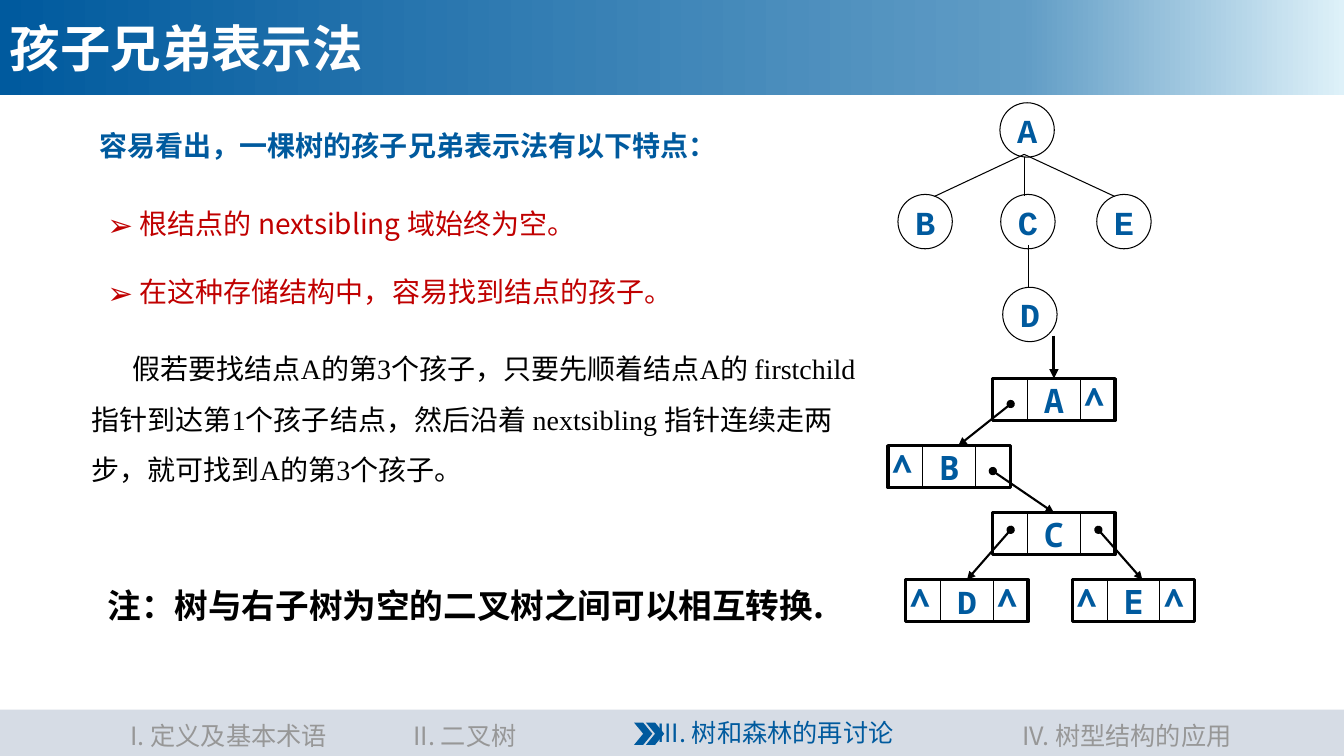
from copy import deepcopy
from dataclasses import dataclass

from pptx import Presentation
from pptx.dml.color import RGBColor
from pptx.enum.shapes import MSO_CONNECTOR, MSO_SHAPE
from pptx.enum.text import MSO_ANCHOR, PP_ALIGN
from pptx.oxml.ns import qn
from pptx.util import Cm, Pt
from lxml.etree import SubElement


@dataclass(frozen=True)
class Theme:
    blue: str = "005A9E"
    mid_blue: str = "609CC5"
    pale_blue: str = "DEF1F9"
    red: str = "C00000"
    black: str = "000000"
    white: str = "FFFFFF"
    bar: str = "D6DCE5"
    muted: str = "979797"
    sans: str = "Noto Sans CJK SC"
    serif: str = "Times New Roman"
    mono: str = "Noto Sans Mono"
    courier: str = "Courier New"
    title: int = 36
    label: int = 24
    body: int = 20
    nav: int = 18
    thin: float = 0.75
    medium: float = 1.5
    thick: float = 2.25


T = Theme()


def write(s, text, size, color, font=T.sans, bold=False, align=PP_ALIGN.LEFT,
          anchor=MSO_ANCHOR.TOP, wrap=True, insets=(0.25, 0.13)):
    """Fill a shape with one formatted paragraph and return it."""
    tf = s.text_frame
    tf.text = text
    tf.word_wrap = wrap
    tf.vertical_anchor = anchor
    tf.margin_left = tf.margin_right = Cm(insets[0])
    tf.margin_top = tf.margin_bottom = Cm(insets[1])
    p = tf.paragraphs[0]
    p.alignment = align
    f = p.runs[0].font
    f.name, f.size, f.bold = font, Pt(size), bold
    f.color.rgb = RGBColor.from_string(color)
    SubElement(p.runs[0]._r.get_or_add_rPr(), qn("a:ea")).set("typeface", T.sans)
    return p


def add_text(slide, x, y, w, h, *args, **kwargs):
    s = slide.shapes.add_textbox(Cm(x), Cm(y), Cm(w), Cm(h))
    return write(s, *args, **kwargs)


def add_box(slide, kind, x, y, w, h, fill=None, line=None):
    s = slide.shapes.add_shape(kind, Cm(x), Cm(y), Cm(w), Cm(h))
    s.shadow.inherit = False
    if fill:
        s.fill.solid()
        s.fill.fore_color.rgb = RGBColor.from_string(fill)
    else:
        s.fill.background()
    if line:
        s.line.color.rgb = RGBColor.from_string(T.black)
        s.line.width = Pt(line)
    else:
        s.line.fill.background()
    return s


def add_line(slide, x1, y1, x2, y2, width=T.thin, head=None, tail=None):
    c = slide.shapes.add_connector(MSO_CONNECTOR.STRAIGHT, Cm(x1), Cm(y1), Cm(x2), Cm(y2))
    c.line.color.rgb = RGBColor.from_string(T.black)
    c.line.width = Pt(width)
    ln = c.line._get_or_add_ln()
    for tag, end in (("a:headEnd", head), ("a:tailEnd", tail)):
        if end:
            SubElement(ln, qn(tag)).set("type", end)
    SubElement(c._element.spPr, qn("a:effectLst"))
    return c


def indent(p, first, left=0):
    pPr = p._p.get_or_add_pPr()
    pPr.set("marL", str(Cm(left)))
    pPr.set("indent", str(Cm(first)))
    return pPr


def title_bar(slide, box):
    s = add_box(slide, MSO_SHAPE.RECTANGLE, *box)
    s.fill.gradient()
    s.fill.gradient_angle = 0
    stops = s._element.spPr.find(".//" + qn("a:gsLst"))
    stops.append(deepcopy(stops[0]))
    colors = ((0, T.blue), (0.76, T.mid_blue), (1, T.pale_blue))
    for stop, (position, color) in zip(s.fill.gradient_stops, colors):
        stop.position = position
        stop.color.rgb = RGBColor.from_string(color)
    write(s, "孩子兄弟表示法", T.title, T.white, bold=True, anchor=MSO_ANCHOR.MIDDLE)


def explanation(slide, box):
    x, y, w, h = box
    # Heading
    p = add_text(slide, x, y, w, 1.2, "容易看出，一棵树的孩子兄弟表示法有以下特点：",
                 T.body, T.blue, bold=True)
    indent(p, 0.1, 0.1)
    # Features
    features = ("根结点的 nextsibling 域始终为空。", "在这种存储结构中，容易找到结点的孩子。")
    for i, feature in enumerate(features):
        p = add_text(slide, x + 0.4, y + 1.96 + 1.7 * i, w, 1.2, feature, T.body, T.red)
        pPr = indent(p, -0.81, 0.81)
        SubElement(pPr, qn("a:buSzPct")).set("val", "110000")
        SubElement(pPr, qn("a:buFont")).set("typeface", T.sans)
        SubElement(pPr, qn("a:buChar")).set("char", "➢")
    # Example
    p = add_text(slide, x, y + 5.19, w, 4.22,
                 "假若要找结点A的第3个孩子，只要先顺着结点A的 firstchild 指针到达第1个孩子结点，"
                 "然后沿着 nextsibling 指针连续走两步，就可找到A的第3个孩子。",
                 T.body, T.black, T.serif)
    p.line_spacing = 1.5
    indent(p, 1.03)
    # Note
    add_text(slide, x + 0.4, y + h - 1.27, w, 1.27,
             "注：树与右子树为空的二叉树之间可以相互转换.", T.label, T.black, bold=True)


def tree(slide, box):
    x, y, w, h = box
    size = 1.37
    nodes = {"A": (2.57, 0), "B": (0, 2.31), "C": (2.59, 2.31),
             "E": (w - size, 2.31), "D": (2.64, h - size)}
    for name, (dx, dy) in nodes.items():
        s = add_box(slide, MSO_SHAPE.OVAL, x + dx, y + dy, size, size, line=T.thin)
        write(s, name, T.label, T.blue, T.courier, True, PP_ALIGN.CENTER,
              MSO_ANCHOR.MIDDLE, False, (0, 0))
    # Edges
    for x1, y1, x2, y2 in ((3.18, 1.3, 0.92, 2.36), (3.18, 1.37, 3.18, 2.36),
                           (3.18, 1.3, 5.46, 2.36), (3.28, 3.58, 3.28, h - size)):
        add_line(slide, x + x1, y + y1, x + x2, y + y2)


def linked_storage(slide, box):
    x, y, w, h = box
    node_w, node_h, row = 3.08, 1.06, 1.69
    left_bar, right_bar = 0.88, 2.2
    top = y + h - node_h - 3 * row
    # name: (x offset, row, empty cells, font)
    nodes = {"A": (2.64, 0, (right_bar,), T.mono),
             "B": (0, 1, (0,), T.mono),
             "C": (2.64, 2, (), T.mono),
             "D": (0.45, 3, (0, right_bar), T.courier),
             "E": (w - node_w, 3, (0, right_bar), T.mono)}
    drawn = {}
    for name, (dx, level, empty, font) in nodes.items():
        nx, ny = x + dx, top + level * row
        s = add_box(slide, MSO_SHAPE.RECTANGLE, nx, ny, node_w, node_h, line=T.thick)
        write(s, name, T.label, T.blue, font, True, PP_ALIGN.CENTER, MSO_ANCHOR.MIDDLE, False)
        for bar in (left_bar, right_bar):
            add_line(slide, nx + bar, ny, nx + bar, ny + node_h)
        for cell in empty:
            add_text(slide, nx + cell, ny - 0.2, 0.71, 1.27, "∧", T.label, T.blue, T.mono,
                     True, PP_ALIGN.CENTER, insets=(0, 0.13))
        drawn[name] = s, nx, ny
    # Pointer to the root
    root, nx, ny = drawn["A"]
    c = add_line(slide, nx + node_w / 2, y, nx + node_w / 2, ny, T.thick, tail="triangle")
    c.end_connect(root, 0)
    # Pointers: parent, child, start inside the parent, shift from the child's middle
    for parent, child, sx, sy, shift in (("A", "B", 0.45, 0.64, 0.23), ("B", "C", 2.64, 0.64, 0),
                                         ("C", "D", 0.45, 0.43, 0), ("C", "E", 2.66, 0.43, 0.22)):
        _, px, py = drawn[parent]
        target, nx, ny = drawn[child]
        c = add_line(slide, px + sx, py + sy, nx + node_w / 2 + shift, ny,
                     T.medium, "oval", "triangle")
        if not shift:
            c.end_connect(target, 0)


def navigation(slide, box):
    x, y, w, h = box
    # Current section
    s = add_box(slide, MSO_SHAPE.RECTANGLE, *box, fill=T.bar)
    write(s, "III. 树和森林的再讨论", T.nav, T.blue, align=PP_ALIGN.CENTER,
          anchor=MSO_ANCHOR.MIDDLE)
    s.text_frame.margin_left = Cm(5.46)
    # Other sections
    for dx, width, label in ((1.09, 9.35, "I. 定义及基本术语"), (8.89, 5.66, "II. 二叉树"),
                             (25.3, 6.2, "IV. 树型结构的应用")):
        add_text(slide, x + dx, y + 0.15, width, 1.02, label, T.nav, T.muted,
                 align=PP_ALIGN.CENTER)
    # Marker
    for dx in (16.28, 15.98):
        add_box(slide, MSO_SHAPE.CHEVRON, x + dx, y + 0.33, 0.46, 0.56, fill=T.blue)


def main():
    prs = Presentation()
    prs.slide_width, prs.slide_height = Cm(33.87), Cm(19.05)
    slide = prs.slides.add_slide(prs.slide_layouts[6])
    linked_storage(slide, (22.38, 8.46, 7.73, 7.21))
    tree(slide, (22.63, 2.59, 6.38, 6.02))
    explanation(slide, (2.06, 3.12, 19.76, 12.76))
    title_bar(slide, (0, 0, 33.87, 2.39))
    navigation(slide, (0, 17.88, 33.87, 1.17))
    prs.save("out.pptx")


if __name__ == "__main__":
    main()
